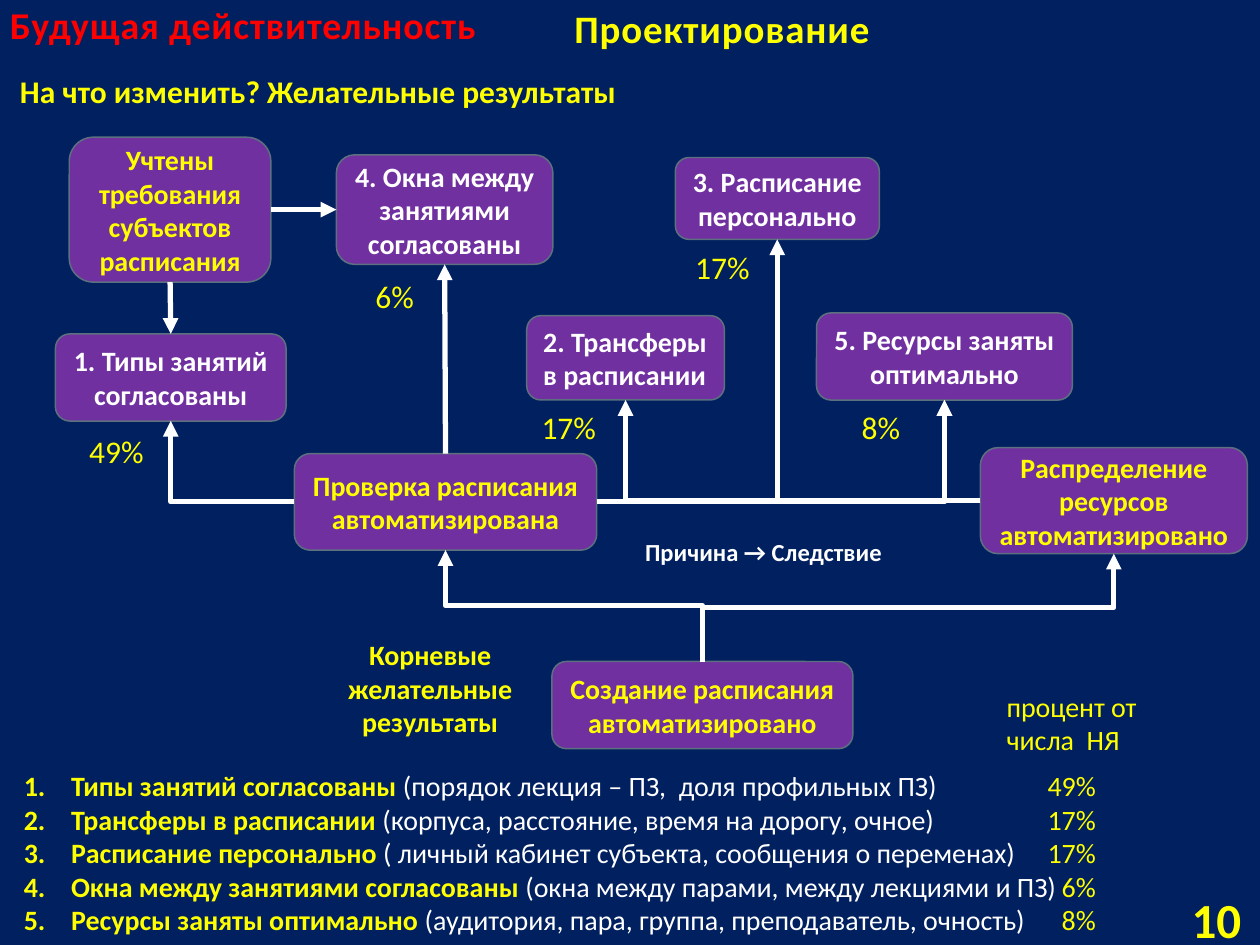
from dataclasses import dataclass

from lxml.etree import SubElement
from pptx import Presentation
from pptx.dml.color import RGBColor
from pptx.enum.shapes import MSO_CONNECTOR, MSO_SHAPE
from pptx.enum.text import MSO_ANCHOR, PP_ALIGN
from pptx.oxml.ns import qn
from pptx.util import Pt


@dataclass(frozen=True)
class Theme:
    font: str = "Calibri"
    background: RGBColor = RGBColor(0x00, 0x20, 0x60)
    box: RGBColor = RGBColor(0x70, 0x30, 0xA0)
    outline: RGBColor = RGBColor(0x5D, 0x70, 0x80)
    white: RGBColor = RGBColor(0xFF, 0xFF, 0xFF)
    yellow: RGBColor = RGBColor(0xFF, 0xFF, 0x00)
    red: RGBColor = RGBColor(0xFF, 0x00, 0x00)
    section: float = 21.6
    title: float = 22.2
    number: float = 28
    heading: float = 18
    body: float = 16
    legend: float = 14


theme = Theme()
LEFT, CENTER, RIGHT = PP_ALIGN.LEFT, PP_ALIGN.CENTER, PP_ALIGN.RIGHT
TOP_SITE, LEFT_SITE, BOTTOM_SITE, RIGHT_SITE = range(4)

boxes = {
    "personal": (["3. Расписание персонально"], (385.9, 90, 116.6, 46.8), theme.white, CENTER),
    "gaps": (["4. Окна между занятиями согласованы"], (192.2, 88.5, 123.8, 62.6), theme.white, CENTER),
    "resources": (["5. Ресурсы заняты оптимально"], (466.6, 178.8, 146.2, 49.8), theme.white, CENTER),
    "transfers": (["2. Трансферы в расписании"], (301, 180.4, 113, 48.2), theme.white, LEFT),
    "allocation": (["Распределение ресурсов", "автоматизировано"], (560.2, 255.8, 152.6, 60.6), theme.yellow, CENTER),
    "creation": (["Создание расписания автоматизировано"], (315.4, 378, 172, 49.8), theme.yellow, CENTER),
    "checking": (["Проверка расписания автоматизирована"], (168.2, 259.2, 172.8, 55.2), theme.yellow, CENTER),
    "demands": (["Учтены требования субъектов расписания"], (39.6, 78.4, 115.2, 82.8), theme.yellow, CENTER),
    "types": (["1. Типы занятий согласованы"], (31.7, 190.8, 131.8, 49.8), theme.white, CENTER),
}

STRAIGHT, CORNER, STEP = "straightConnector1", "bentConnector2", "bentConnector3"
arrows = [
    ("creation", TOP_SITE, "allocation", BOTTOM_SITE, STEP),
    ("creation", TOP_SITE, "checking", BOTTOM_SITE, STEP),
    ("checking", LEFT_SITE, "types", BOTTOM_SITE, CORNER),
    ("checking", RIGHT_SITE, "resources", BOTTOM_SITE, CORNER),
    ("demands", BOTTOM_SITE, "types", TOP_SITE, STRAIGHT),
    ("allocation", LEFT_SITE, "transfers", BOTTOM_SITE, CORNER),
    ("allocation", LEFT_SITE, "personal", BOTTOM_SITE, CORNER),
    ("checking", TOP_SITE, "gaps", BOTTOM_SITE, STRAIGHT),
    ("demands", RIGHT_SITE, "gaps", LEFT_SITE, STRAIGHT),
    ("allocation", LEFT_SITE, "resources", BOTTOM_SITE, CORNER),
]

labels = [
    (["На что изменить? Желательные результаты"], (4.3, 37.4, 370.8, 29), theme.heading, theme.yellow, True, LEFT),
    (["10"], (648, 510.5, 68.4, 28.8), theme.number, theme.yellow, True, RIGHT),
    (["Причина → Следствие"], (354.2, 303.1, 164.2, 24.2), theme.legend, theme.white, True, CENTER),
    (["процент от", "числа  НЯ"], (568.1, 390.2, 95, 46), theme.body, theme.yellow, False, LEFT),
    (["Корневые желательные результаты"], (177.8, 360.7, 136.1, 65.5), theme.body, theme.yellow, True, CENTER),
]
titles = [
    ("Будущая действительность", (-1.4, -3.6, 291.6, 34.6), theme.section, theme.red),
    ("Проектирование", (321.1, 0, 192.2, 32.4), theme.title, theme.yellow),
]
percentages = [
    ("49%", 43.9, 243.4),
    ("17%", 302.4, 229.7),
    ("17%", 390.2, 138.2),
    ("8%", 485.3, 229.7),
    ("6%", 207.4, 154.8),
]
labels += [([text], (left, top, 50.4, 29), theme.heading, theme.yellow, False, LEFT)
           for text, left, top in percentages]

results = [
    ("Типы занятий согласованы ", "(порядок лекция – ПЗ,  доля профильных ПЗ)", "49%"),
    ("Трансферы в расписании ", "(корпуса, расстояние, время на дорогу, очное)", "17%"),
    ("Расписание персонально ", "( личный кабинет субъекта, сообщения о переменах)", "17%"),
    ("Окна между занятиями согласованы ", "(окна между парами, между лекциями и ПЗ)", "6%"),
    ("Ресурсы заняты оптимально ", "(аудитория, пара, группа, преподаватель, очность)", "8%"),
]
results_place = (6.5, 435.6, 653.8, 104.4)
results_indent, percent_tab = 27, 620


def set_font(font, size, color, bold):
    font.name = theme.font
    font.size = Pt(size)
    font.bold = bold
    font.color.rgb = color


def write(frame, lines, size, color, bold, alignment):
    frame.word_wrap = True
    for index, line in enumerate(lines):
        paragraph = frame.add_paragraph() if index else frame.paragraphs[0]
        paragraph.text = line
        paragraph.alignment = alignment
        set_font(paragraph.font, size, color, bold)


def add_box(slide, lines, place, color, alignment):
    shape = slide.shapes.add_shape(MSO_SHAPE.ROUNDED_RECTANGLE, *map(Pt, place))
    shape.shadow.inherit = False
    shape.fill.solid()
    shape.fill.fore_color.rgb = theme.box
    shape.line.color.rgb = theme.outline
    shape.line.width = Pt(0.85)
    shape.text_frame.vertical_anchor = MSO_ANCHOR.MIDDLE
    write(shape.text_frame, lines, theme.body, color, True, alignment)
    return shape


def add_label(slide, lines, place, *style):
    frame = slide.shapes.add_textbox(*map(Pt, place)).text_frame
    write(frame, lines, *style)
    return frame


def turn_upright(connector):
    left, top, width, height = connector.left, connector.top, connector.width, connector.height
    leftward = connector.begin_x > connector.end_x
    connector.left = left + (width - height) // 2
    connector.top = top + (height - width) // 2
    connector.width, connector.height = height, width
    transform = connector._element.spPr.find(qn("a:xfrm"))
    transform.set("rot", "16200000")
    transform.set("flipH", "0")
    transform.set("flipV", "1" if leftward else "0")


def add_arrow(slide, source, source_site, target, target_site, preset):
    kind = MSO_CONNECTOR.STRAIGHT if preset == STRAIGHT else MSO_CONNECTOR.ELBOW
    connector = slide.shapes.add_connector(kind, 0, 0, 0, 0)
    connector.begin_connect(source, source_site)
    connector.end_connect(target, target_site)
    connector.line.color.rgb = theme.white
    connector.line.width = Pt(3)
    properties = connector._element.spPr
    properties.find(qn("a:prstGeom")).set("prst", preset)
    SubElement(properties.find(qn("a:ln")), qn("a:tailEnd"), type="triangle")
    SubElement(properties, qn("a:effectLst"))
    if preset == STEP:
        turn_upright(connector)


def add_results(slide):
    frame = slide.shapes.add_textbox(*map(Pt, results_place)).text_frame
    frame.word_wrap = True
    for index, (name, detail, percent) in enumerate(results):
        paragraph = frame.add_paragraph() if index else frame.paragraphs[0]
        runs = [(name, theme.yellow, True), (detail + "\t", theme.white, False), (percent, theme.yellow, False)]
        for text, color, bold in runs:
            run = paragraph.add_run()
            run.text = text
            set_font(run.font, theme.body, color, bold)
        properties = paragraph._p.get_or_add_pPr()
        properties.set("marL", str(Pt(results_indent)))
        properties.set("indent", str(-Pt(results_indent)))
        SubElement(properties, qn("a:buFont"), typeface="+mj-lt")
        SubElement(properties, qn("a:buAutoNum"), type="arabicPeriod")
        tabs = SubElement(properties, qn("a:tabLst"))
        SubElement(tabs, qn("a:tab"), pos=str(Pt(percent_tab)), algn="r")


presentation = Presentation()
presentation.slide_width, presentation.slide_height = Pt(720), Pt(540)
slide = presentation.slides.add_slide(presentation.slide_layouts[6])
slide.background.fill.solid()
slide.background.fill.fore_color.rgb = theme.background

shapes = {name: add_box(slide, *box) for name, box in boxes.items()}
for source, source_site, target, target_site, preset in arrows:
    add_arrow(slide, shapes[source], source_site, shapes[target], target_site, preset)
for label in labels:
    frame = add_label(slide, *label)
    if label[2] == theme.number:
        frame.vertical_anchor = MSO_ANCHOR.MIDDLE
for text, place, size, color in titles:
    frame = add_label(slide, [text], place, size, color, True, LEFT)
    frame.word_wrap = False
    frame.vertical_anchor = MSO_ANCHOR.MIDDLE
    frame.paragraphs[0].runs[0].font._element.set("spc", "50")
add_results(slide)

presentation.save("out.pptx")
